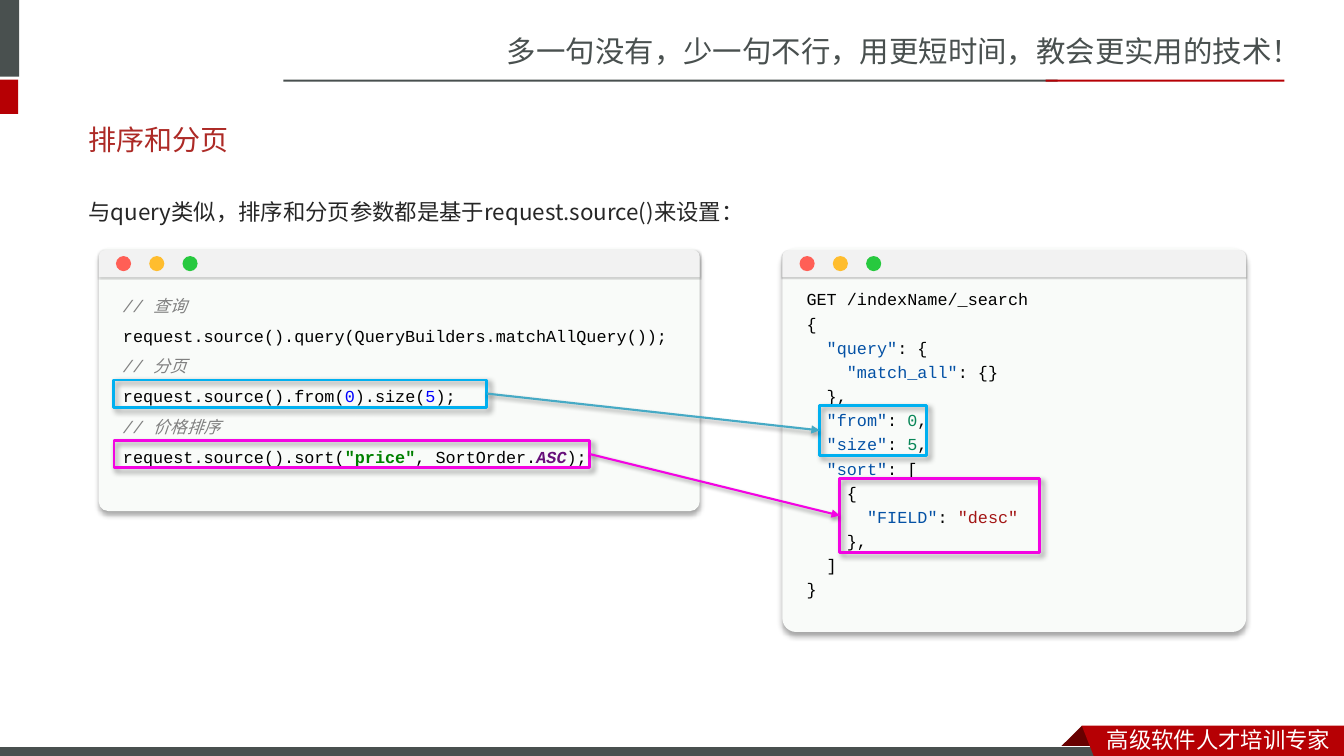
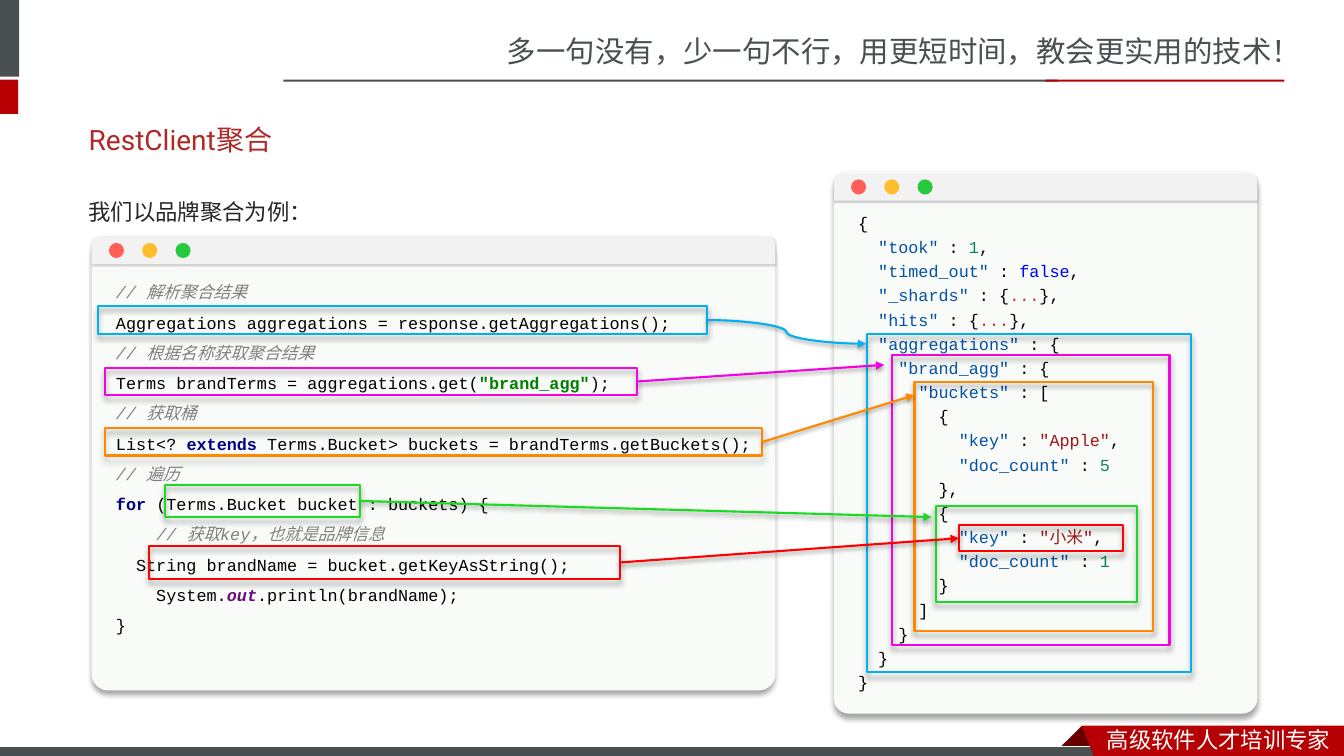
"""Build two code walkthrough slides with a shared page frame."""
from dataclasses import dataclass

from lxml.etree import SubElement
from pptx import Presentation
from pptx.dml.color import RGBColor as Rgb
from pptx.enum.shapes import MSO_CONNECTOR as Link, MSO_SHAPE as Shape
from pptx.enum.text import MSO_ANCHOR as Anchor, MSO_AUTO_SIZE as Fit, PP_ALIGN as Align
from pptx.oxml.ns import qn
from pptx.util import Inches, Pt


@dataclass(frozen=True)
class Theme:
    grey: str = "49504F"
    red: str = "B60004"
    dark_red: str = "680000"
    white: str = "FFFFFF"
    title: str = "AD2A26"
    body: str = "262626"
    black: str = "000000"
    window: str = "F9FBF9"
    bar: str = "F2F2F2"
    dots: tuple = ("FF5F56", "FFBD2E", "27C93F")
    blue: str = "00B0F0"
    teal: str = "46AAC5"
    magenta: str = "F303E2"
    orange: str = "FF8800"
    green: str = "1DD921"
    bright_red: str = "FF0000"
    sans: str = "Noto Sans CJK SC"
    body_font: str = "Noto Sans CJK JP"
    title_font: str = "Roboto"
    mono: str = "Courier New"
    slogan_size: float = 21
    title_size: float = 20
    body_size: float = 16
    code_size: float = 12
    window_shadow: tuple = (34, 4, 3, 90)
    bar_shadow: tuple = (20, 1, 1, 90)
    line_shadow: tuple = (38, 3.1, 1.6, 90)


THEME = Theme()
CODE_STYLES = {
    "k": {"color": "0451A5"},
    "n": {"color": "098658"},
    "s": {"color": "A31515"},
    "f": {"color": "0000FF"},
    "d": {"color": "CD3131"},
    "c": {"color": "808080", "italic": True},
    "q": {"color": "008000", "bold": True},
    "w": {"color": "000080", "bold": True},
    "m": {"color": "660E7A", "bold": True, "italic": True},
}


def add_span(para, text, *, size, font, color, bold=False, italic=False):
    span = para.add_run()
    span.text = text
    span.font.size = Pt(size)
    span.font.name = font
    span.font.bold = bold
    span.font.italic = italic
    span.font.color.rgb = Rgb.from_string(color)


def set_east_asian(box, font):
    for latin in list(box.element.iter(qn("a:latin"))):
        east_asian = latin.makeelement(qn("a:ea"), {"typeface": font})
        latin.addnext(east_asian)


def add_shadow(effects, opacity, blur, distance, angle):
    outer = SubElement(effects, qn("a:outerShdw"), blurRad=str(Pt(blur)),
                       dist=str(Pt(distance)), dir=str(angle * 60000),
                       algn="t", rotWithShape="0")
    color = SubElement(outer, qn("a:srgbClr"), val=THEME.black)
    SubElement(color, qn("a:alpha"), val=str(opacity * 1000))


class SlideBuilder:
    def __init__(self, theme):
        self.theme = theme
        self.deck = Presentation()
        self.deck.slide_width = Inches(13.33)
        self.deck.slide_height = Inches(7.5)
        self.layout = self.deck.slide_layouts[5]
        self.page = None

    def start_page(self, title, intro):
        theme = self.theme
        self.page = self.deck.slides.add_slide(self.layout)
        if len(self.deck.slides) == 1:
            self.fill_layout()
        box = self.page.shapes.title
        box.left, box.top, box.width, box.height = map(Inches, (0.78, 1.16, 11.7, 0.44))
        box.text_frame.auto_size = Fit.NONE
        box.text_frame.vertical_anchor = Anchor.MIDDLE
        para = box.text_frame.paragraphs[0]
        para.alignment = Align.LEFT
        add_span(para, title, size=theme.title_size, font=theme.title_font, color=theme.title)
        set_east_asian(box, theme.sans)
        self.text(0.78, 1.78, 11.7, 0.52, intro, spacing=1.5, size=theme.body_size,
                  font=theme.body_font, color=theme.body)

    def fill_layout(self):
        theme = self.theme
        parts = [
            self.text(4.93, 0.28, 8.41, 0.47,
                      "多一句没有，少一句不行，用更短时间，教会更实用的技术！",
                      size=theme.slogan_size, font=theme.sans, color=theme.grey),
            self.shape(Shape.RECTANGLE, -0.06, 0, 0.25, 0.76, fill=theme.grey),
            self.shape(Shape.RECTANGLE, -0.06, 0.79, 0.24, 0.34, fill=theme.red),
            self.shape(Shape.RECTANGLE, 2.81, 0.79, 7.68, 0.02, fill=theme.grey),
            self.shape(Shape.RECTANGLE, 10.37, 0.79, 2.37, 0.02, fill=theme.red),
            self.outline([(10.73, 7.2), (10.95, 7.42), (10.94, 7.43), (10.52, 7.43),
                          (10.51, 7.42)], theme.dark_red),
            self.shape(Shape.RECTANGLE, -0.01, 7.41, 11, 0.12, fill=theme.grey,
                       line=theme.white, weight=0.75),
            self.outline([(10.73, 7.2), (13.33, 7.2), (13.33, 7.54), (10.86, 7.53)],
                         theme.red),
            self.text(10.88, 7.15, 2.45, 0.37, "高级软件人才培训专家",
                      size=theme.body_size, font=theme.sans, color=theme.white),
        ]
        for number, part in enumerate(parts, 100):
            part.element.find(".//" + qn("p:cNvPr")).set("id", str(number))
            self.layout.shapes.element.append(part.element)

    def text(self, left, top, width, height, text, spacing=1.0, **style):
        box = self.page.shapes.add_textbox(*map(Inches, (left, top, width, height)))
        box.text_frame.word_wrap = True
        para = box.text_frame.paragraphs[0]
        para.line_spacing = spacing
        add_span(para, text, **style)
        set_east_asian(box, style["font"])
        return box

    def paint(self, shape, fill=None, line=None, weight=1.0, shadow=None):
        shape.shadow.inherit = False
        if fill:
            shape.fill.solid()
            shape.fill.fore_color.rgb = Rgb.from_string(fill)
        else:
            shape.fill.background()
        if line:
            shape.line.color.rgb = Rgb.from_string(line)
            shape.line.width = Pt(weight)
        else:
            shape.line.fill.background()
        if shadow:
            add_shadow(shape.element.spPr.find(qn("a:effectLst")), *shadow)
        return shape

    def shape(self, kind, left, top, width, height, adjust=None, **look):
        shape = self.page.shapes.add_shape(kind, *map(Inches, (left, top, width, height)))
        if adjust is not None:
            shape.adjustments[0] = adjust
        return self.paint(shape, **look)

    def outline(self, points, fill):
        corners = [(Inches(x), Inches(y)) for x, y in points]
        builder = self.page.shapes.build_freeform(*corners[0])
        builder.add_line_segments(corners[1:], close=True)
        return self.paint(builder.convert_to_shape(), fill=fill)

    def window(self, left, top, width, height, code, spacing):
        theme = self.theme
        self.shape(Shape.ROUNDED_RECTANGLE, left, top, width, height, adjust=0.036,
                   fill=theme.window, shadow=theme.window_shadow)
        self.code(left, top + 0.32, width + 0.14, height - 0.4, code, spacing)
        self.shape(Shape.ROUND_2_SAME_RECTANGLE, left, top + 0.02, width, 0.27,
                   adjust=0.25, fill=theme.bar, shadow=theme.bar_shadow)
        for index, color in enumerate(theme.dots):
            self.shape(Shape.OVAL, left + 0.17 + index * 0.33, top + 0.08, 0.15, 0.15,
                       fill=color)

    def code(self, left, top, width, height, code, spacing):
        theme = self.theme
        box = self.page.shapes.add_textbox(*map(Inches, (left, top, width, height)))
        frame = box.text_frame
        frame.word_wrap = True
        frame.margin_left = frame.margin_right = Inches(0.24)
        for index, row in enumerate(code.strip("\n").split("\n")):
            para = frame.add_paragraph() if index else frame.paragraphs[0]
            para.line_spacing = spacing
            for part, text in enumerate(row.split("|")):
                style = {"color": theme.black}
                if part % 2:
                    style, text = CODE_STYLES[text[0]], text[1:]
                if text:
                    add_span(para, text, size=theme.code_size, font=theme.mono, **style)
        set_east_asian(box, theme.sans)

    def match(self, color, source, target, start=None, end=None, weight=1.5, angle=90,
              line=None, kind=Link.STRAIGHT):
        for area in (source, target):
            self.shape(Shape.RECTANGLE, *area, line=color, weight=weight,
                       shadow=(40, 4, 3, angle))
        left, top, width, height = source
        start = start or (left + width, top + height / 2)
        end = end or (target[0], target[1] + target[3] / 2)
        self.arrow(start, end, line or color, kind)

    def arrow(self, start, end, color, kind):
        arrow = self.page.shapes.add_connector(kind, *map(Inches, (*start, *end)))
        arrow.line.color.rgb = Rgb.from_string(color)
        arrow.line.width = Pt(1.5)
        properties = arrow.element.spPr
        SubElement(properties.find(qn("a:ln")), qn("a:tailEnd"), type="triangle")
        add_shadow(SubElement(properties, qn("a:effectLst")), *self.theme.line_shadow)


SORT_JAVA = """
|c// 查询
request.source().query(QueryBuilders.matchAllQuery());
|c// 分页
request.source().from(|f0|).size(|f5|);
|c// 价格排序
request.source().sort(|q"price"|, SortOrder.|mASC|);
"""
SORT_JSON = """
GET /indexName/_search
{
  |k"query"|: {
    |k"match_all"|: {}
  },
  |k"from"|: |n0|,
  |k"size"|: |n5|,
  |k"sort"|: [
    {
      |k"FIELD"|: |s"desc"|
    },
  ]
}
"""
BUCKET_JAVA = """
|c// 解析聚合结果
Aggregations aggregations = response.getAggregations();
|c// 根据名称获取聚合结果
Terms brandTerms = aggregations.get(|q"brand_agg"|);
|c// 获取桶
List<? |wextends |Terms.Bucket> buckets = brandTerms.getBuckets();
|c// 遍历
|wfor |(Terms.Bucket bucket : buckets) {
    |c// 获取key，也就是品牌信息
  String brandName = bucket.getKeyAsString();
    System.|mout|.println(brandName);
}
"""
BUCKET_JSON = """
{
  |k"took"| : |n1|,
  |k"timed_out"| : |ffalse|,
  |k"_shards"| : {|d...|},
  |k"hits"| : {|d...|},
  |k"aggregations"| : {
    |k"brand_agg"| : {
      |k"buckets"| : [
        {
          |k"key"| : |s"Apple"|,
          |k"doc_count"| : |n5|
        },
        {
          |k"key"| : |s"小米"|,
          |k"doc_count"| : |n1|
        }
      ]
    }
  }
}
"""


def main():
    theme = THEME
    builder = SlideBuilder(theme)

    builder.start_page("排序和分页", "与query类似，排序和分页参数都是基于request.source()来设置：")
    builder.window(7.76, 2.46, 4.6, 3.81, SORT_JSON, 1.2)
    builder.window(0.98, 2.46, 5.96, 2.61, SORT_JAVA, 1.5)
    builder.match(theme.blue, (1.13, 3.77, 3.7, 0.27), (8.13, 4.02, 1.06, 0.5),
                  weight=2, angle=45, line=theme.teal)
    builder.match(theme.magenta, (1.13, 4.37, 4.72, 0.27), (8.33, 4.75, 1.98, 0.73),
                  weight=2, angle=45)

    builder.start_page("RestClient聚合", "我们以品牌聚合为例：")
    builder.window(8.27, 1.7, 4.2, 5.38, BUCKET_JSON, 1.2)
    builder.window(0.91, 2.33, 6.78, 4.52, BUCKET_JAVA, 1.5)
    builder.match(theme.blue, (0.97, 3.04, 6.04, 0.27), (8.6, 3.31, 3.21, 3.36),
                  end=(8.59, 3.41), kind=Link.CURVE)
    builder.match(theme.magenta, (1.04, 3.65, 5.28, 0.27), (8.85, 3.52, 2.75, 2.88),
                  end=(8.77, 3.62))
    builder.match(theme.orange, (1.04, 4.25, 6.52, 0.27), (9.07, 3.79, 2.37, 2.47),
                  end=(9.07, 3.92))
    builder.match(theme.green, (1.64, 4.81, 1.93, 0.32), (9.28, 5.02, 2, 0.95),
                  end=(9.24, 5.13))
    builder.match(theme.bright_red, (1.48, 5.42, 4.67, 0.32), (9.51, 5.21, 1.63, 0.26))

    builder.deck.save("out.pptx")


if __name__ == "__main__":
    main()
